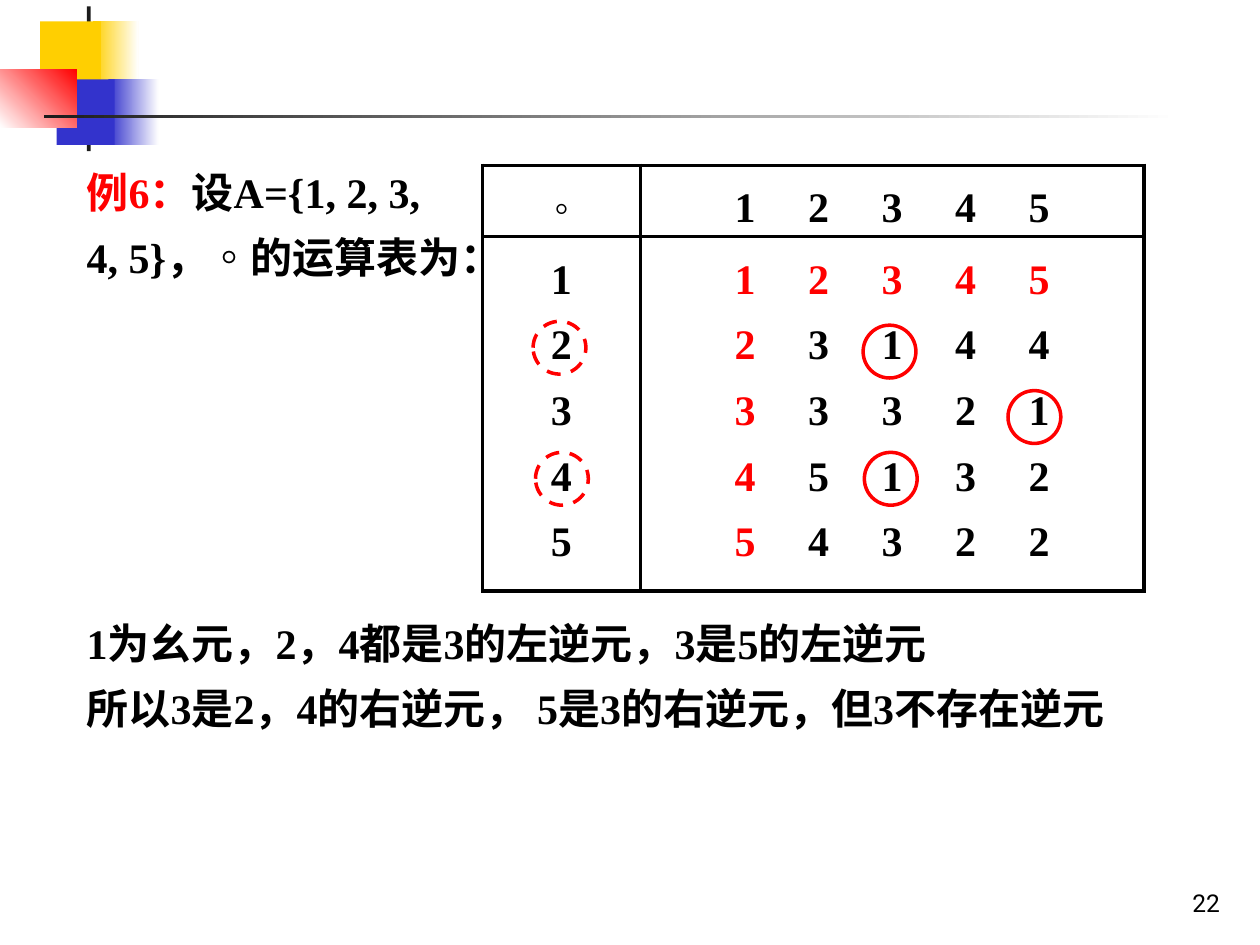
from dataclasses import dataclass
from typing import Optional

from lxml.etree import SubElement as Sub
from pptx import Presentation
from pptx.dml.color import RGBColor as Rgb
from pptx.enum.dml import MSO_LINE as Dash
from pptx.enum.shapes import MSO_SHAPE as Kind
from pptx.enum.text import MSO_ANCHOR as Anchor, MSO_AUTO_SIZE as Auto, PP_ALIGN as Align
from pptx.oxml.ns import qn
from pptx.util import Pt


@dataclass(frozen=True)
class Theme:
    black: str = "000000"
    red: str = "FF0000"
    white: str = "FFFFFF"
    gold: str = "FFCF01"
    blue: str = "3333CC"
    ink: str = "1C1C1C"
    serif: str = "Times New Roman"
    sans: str = "Roboto"
    body: float = 24
    small: float = 14
    rule: float = 2
    lead: float = 1.3


@dataclass(frozen=True)
class Block:
    """Decorative bar; a second colour turns the fill into a gradient."""
    left: float
    top: float
    width: float
    height: float
    start: str
    end: Optional[str] = None
    angle: float = 0


@dataclass(frozen=True)
class Ring:
    left: float
    top: float
    dashed: bool = False


@dataclass(frozen=True)
class Run:
    text: str
    color: str = Theme.black
    bold: bool = True
    font: str = Theme.serif
    size: float = Theme.body


T = Theme()

BLOCKS = [
    Block(53.3, 12.2, 25.9, 37.4, T.gold, T.white),
    Block(61.9, 45.4, 28.8, 37.4, T.blue, T.white),
    Block(49.7, 3.6, 2.2, 82.8, T.ink),
    Block(23, 12.2, 34.6, 37.4, T.gold),
    Block(32.4, 45.4, 33.1, 37.4, T.blue),
    Block(0, 39.6, 43.9, 33.1, T.white, T.red, 45),
    Block(25.2, 65.5, 648, 2.2, T.ink, T.white),
]

RING = 30.2
RINGS = [
    Ring(493.2, 185.8), Ring(493.9, 258.5), Ring(576, 223.2),
    Ring(306, 258.5, True), Ring(304.6, 183.6, True),
]

# Operation table: heading row and column, then the products
GRID = ["◦12345", "112345", "223144", "333321", "445132", "554322"]
LEFT, TOP = 275.8, 94.3
PITCH, INSET, SIDE = 37.44, 3.6, 39
COLS = [90, 42 + SIDE, 42, 42, 42, 42 + SIDE]
ROWS = [41, 41, PITCH, PITCH, PITCH, 49]


def add_run(para, run: Run) -> None:
    part = para.add_run()
    part.text = run.text
    font = part.font
    font.name, font.size, font.bold = run.font, Pt(run.size), run.bold
    font.color.rgb = Rgb.from_string(run.color)


def add_block(slide, item: Block) -> None:
    box = slide.shapes.add_shape(
        Kind.RECTANGLE, Pt(item.left), Pt(item.top), Pt(item.width), Pt(item.height))
    box.shadow.inherit = False
    box.line.fill.background()
    if item.end is None:
        box.fill.solid()
        box.fill.fore_color.rgb = Rgb.from_string(item.start)
        return
    box.fill.gradient()
    box.fill.gradient_angle = item.angle
    for stop, color, place in zip(box.fill.gradient_stops, (item.start, item.end), (0, 1)):
        stop.color.rgb = Rgb.from_string(color)
        stop.position = place


def add_ring(slide, item: Ring) -> None:
    ring = slide.shapes.add_shape(
        Kind.OVAL, Pt(item.left), Pt(item.top), Pt(RING), Pt(RING))
    ring.shadow.inherit = False
    ring.fill.background()
    ring.line.color.rgb = Rgb.from_string(T.red)
    ring.line.width = Pt(T.rule)
    if item.dashed:
        ring.line.dash_style = Dash.DASH


def add_text(slide, left: float, top: float, width: float, height: float,
             paras: list[list[Run]]):
    box = slide.shapes.add_textbox(Pt(left), Pt(top), Pt(width), Pt(height))
    frame = box.text_frame
    frame.word_wrap = True
    frame.auto_size = Auto.SHAPE_TO_FIT_TEXT
    for i, runs in enumerate(paras):
        para = frame.add_paragraph() if i else frame.paragraphs[0]
        para.line_spacing = T.lead
        for run in runs:
            add_run(para, run)
    return frame


def set_edges(cell, shown: dict[str, bool]) -> None:
    cell.fill.background()
    props = cell._tc.get_or_add_tcPr()
    for i, (side, on) in enumerate(shown.items()):
        edge = Sub(props, qn(f"a:ln{side}"), w=str(Pt(T.rule)))
        if on:
            Sub(Sub(edge, qn("a:solidFill")), qn("a:srgbClr"), val=T.black)
        else:
            Sub(edge, qn("a:noFill"))
        props.insert(i, edge)


def add_grid(slide) -> None:
    table = slide.shapes.add_table(
        len(ROWS), len(COLS), Pt(LEFT), Pt(TOP), Pt(sum(COLS)), Pt(sum(ROWS))).table
    table.first_row = table.horz_banding = False
    for col, width in zip(table.columns, COLS):
        col.width = Pt(width)
    for row, height in zip(table.rows, ROWS):
        row.height = Pt(height)
    last_row, last_col = len(ROWS) - 1, len(COLS) - 1
    for r, line in enumerate(GRID):
        for c, text in enumerate(line):
            cell = table.cell(r, c)
            cell.vertical_anchor = Anchor.TOP
            cell.margin_top = Pt(INSET if r < 2 else 0)
            cell.margin_bottom = 0
            cell.margin_left = Pt(SIDE if c == 1 else 0)
            cell.margin_right = Pt(SIDE if c == last_col else 0)
            para = cell.text_frame.paragraphs[0]
            para.alignment = Align.CENTER
            para.line_spacing = T.lead
            # The identity's row and column of products are red
            unit = r > 0 and c > 0 and 1 in (r, c)
            add_run(para, Run(text, T.red if unit else T.black, text != "◦"))
            set_edges(cell, {"L": c < 2, "R": c in (0, last_col),
                             "T": r < 2, "B": r in (0, last_row)})


def main() -> None:
    deck = Presentation()
    deck.slide_width, deck.slide_height = Pt(720), Pt(540)
    slide = deck.slides.add_slide(deck.slide_layouts[6])

    # Corner ornament and rule
    for item in BLOCKS:
        add_block(slide, item)

    # Page number
    frame = add_text(slide, 554.4, 491.8, 149.8, 36, [
        [Run("22", bold=False, font=T.sans, size=T.small)]])
    frame.auto_size = Auto.NONE
    frame.vertical_anchor = Anchor.BOTTOM
    frame.paragraphs[0].alignment = Align.RIGHT
    frame.paragraphs[0].line_spacing = 1.0

    # Example and conclusion
    add_text(slide, 42.5, 82.8, 228.2, 82.1, [
        [Run("例6：", T.red), Run("设A={1, 2, 3, 4, 5}，◦的运算表为：")]])
    add_text(slide, 42.5, 340.6, 623.5, 82.1, [
        [Run("1为幺元，2，4都是3的左逆元，3是5的左逆元")],
        [Run("所以3是2，4的右逆元， 5是3的右逆元，但3不存在逆元")]])

    # Operation table with marked entries
    add_grid(slide)
    for item in RINGS:
        add_ring(slide, item)

    deck.save("out.pptx")


if __name__ == "__main__":
    main()
